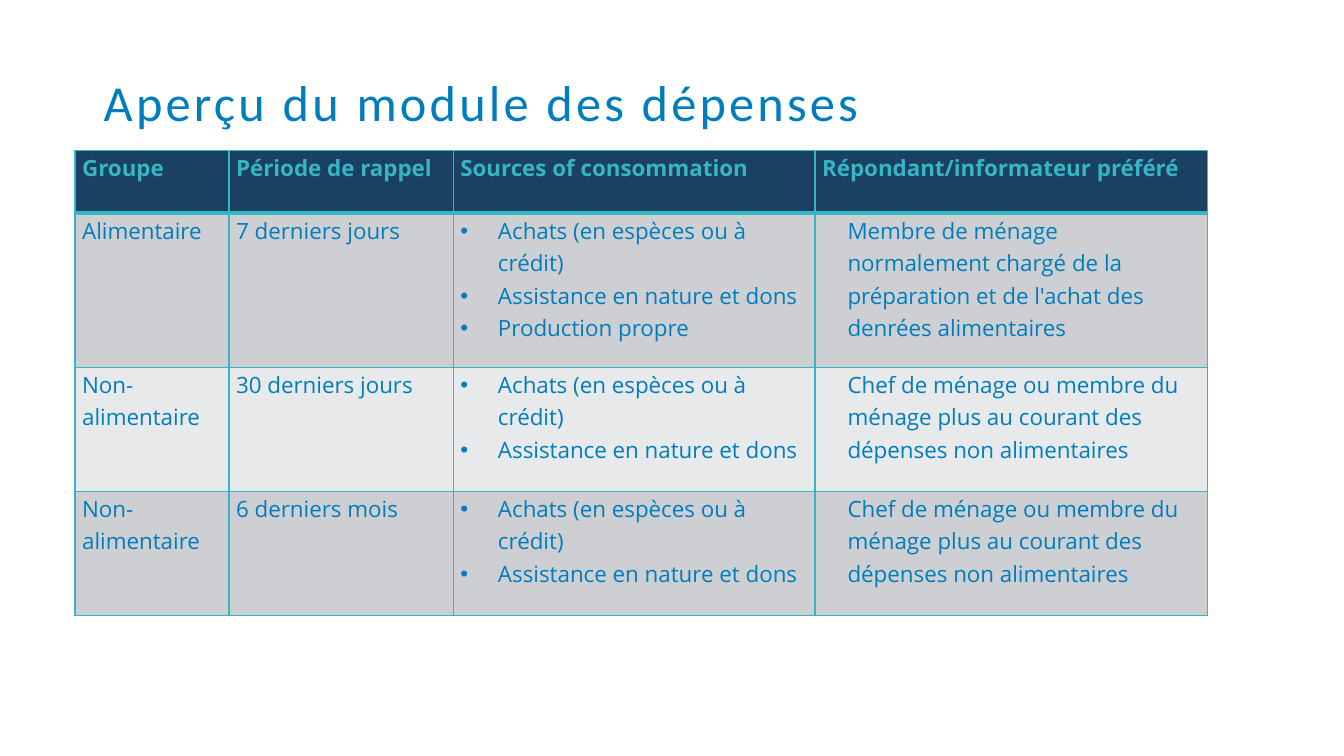
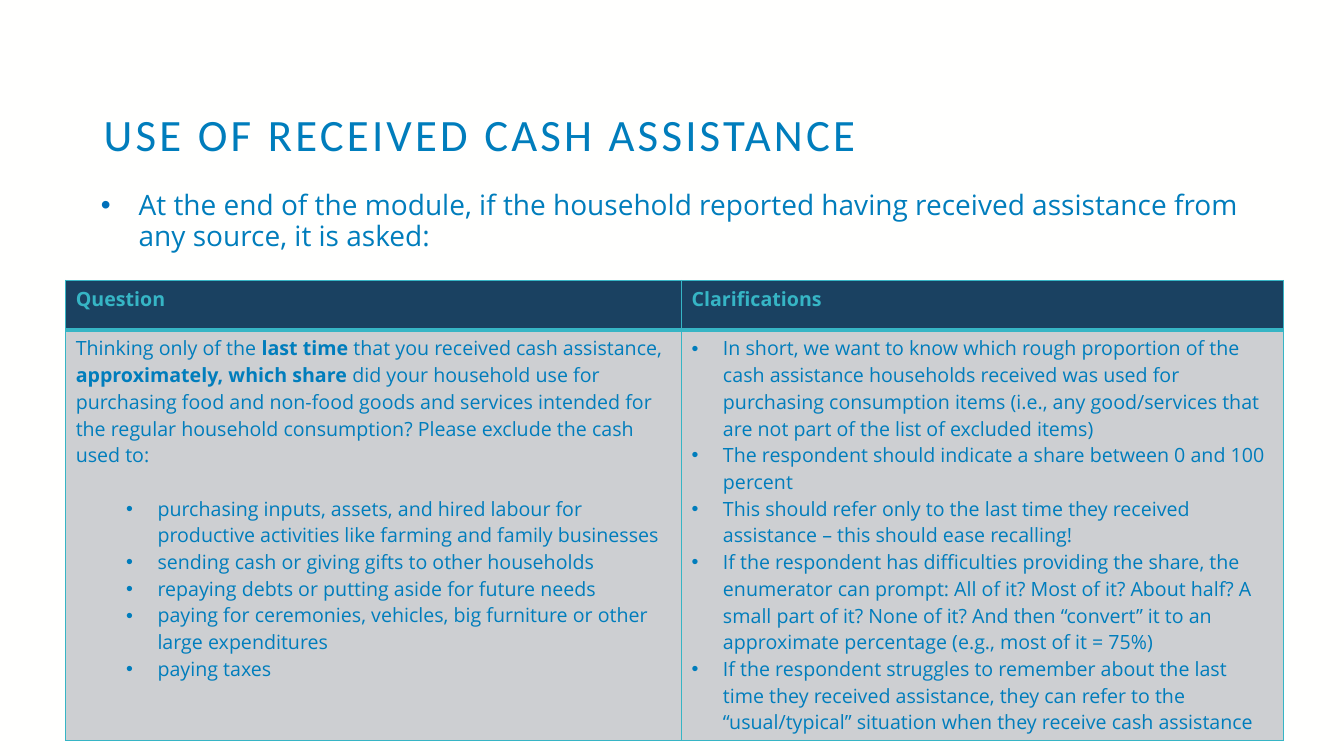
from dataclasses import dataclass

from lxml import etree
from pptx import Presentation
from pptx.dml.color import RGBColor
from pptx.enum.text import MSO_ANCHOR, MSO_AUTO_SIZE, PP_ALIGN
from pptx.oxml.ns import qn
from pptx.util import Cm, Pt

TOP = MSO_ANCHOR.TOP
MIDDLE = MSO_ANCHOR.MIDDLE
LEFT = PP_ALIGN.LEFT
NO_AUTOFIT = MSO_AUTO_SIZE.NONE

PAPER = "FFFFFE"
BLUE = "007DBC"
BULLET_BLUE = "0070BA"
TEAL = "36B5C5"
NAVY = "1A4161"
GREY = "CDCFD2"
PALE_GREY = "E8E9EA"

TITLE_FONT = "Calibri"
BODY_FONT = "Open Sans"
TITLE_ONLY = 5
TITLE_AND_CONTENT = 1


@dataclass(frozen=True)
class ParagraphStyle:
    size: float
    color: str = BLUE
    bold: bool = False
    indent: float = 0
    hanging: float = 0
    bullet_color: str = ""
    level: int = 0
    line_spacing: float = 1.0
    before: float = 0
    after: float = 0


@dataclass(frozen=True)
class Block:
    style: ParagraphStyle
    lines: tuple[str, ...]
    gap: float = 0


@dataclass(frozen=True)
class Grid:
    left: float
    top: float
    columns: tuple[float, ...]
    rows: tuple[float, ...]
    margin_x: float
    margin_y: float


def rgb(color: str) -> RGBColor:
    return RGBColor.from_string(color)


def add_bullet(paragraph, style: ParagraphStyle) -> None:
    properties = paragraph._p.get_or_add_pPr()
    properties.set("marL", str(Cm(style.indent)))
    properties.set("indent", str(-Cm(style.hanging)))
    if style.bullet_color:
        tint = etree.SubElement(properties, qn("a:buClr"))
        etree.SubElement(tint, qn("a:srgbClr")).set("val", style.bullet_color)
        etree.SubElement(properties, qn("a:buFont")).set("typeface", "Arial")
        etree.SubElement(properties, qn("a:buChar")).set("char", "•")


def write_paragraph(paragraph, text: str, style: ParagraphStyle, before: float) -> None:
    add_bullet(paragraph, style)
    paragraph.level = style.level
    paragraph.alignment = LEFT
    paragraph.line_spacing = style.line_spacing
    paragraph.space_before = Pt(before)
    paragraph.space_after = Pt(style.after)
    for position, segment in enumerate(text.split("**")):
        run = paragraph.add_run()
        run.text = segment
        run.font.name = BODY_FONT
        run.font.size = Pt(style.size)
        run.font.bold = style.bold or position % 2 == 1
        run.font.color.rgb = rgb(style.color)


def write_blocks(frame, blocks: list[Block]) -> None:
    paragraph = frame.paragraphs[0]
    first = True
    for block in blocks:
        for index, line in enumerate(block.lines):
            if not first:
                paragraph = frame.add_paragraph()
            first = False
            before = block.gap if index == 0 else block.style.before
            write_paragraph(paragraph, line, block.style, before)


def place(shape, left: float, top: float, width: float, height: float) -> None:
    shape.left, shape.top = Cm(left), Cm(top)
    shape.width, shape.height = Cm(width), Cm(height)


def add_titled_slide(deck, layout: int, title: str, size: float, anchor):
    slide = deck.slides.add_slide(deck.slide_layouts[layout])
    heading = slide.shapes.title
    place(heading, 2.36, 1.85, 29.29, 3.2)
    frame = heading.text_frame
    frame.text = title
    frame.word_wrap = True
    frame.auto_size = NO_AUTOFIT
    frame.vertical_anchor = anchor
    paragraph = frame.paragraphs[0]
    paragraph.alignment = LEFT
    paragraph.line_spacing = 0.9
    run = paragraph.runs[0]
    run.font.name = TITLE_FONT
    run.font.size = Pt(size)
    run.font.color.rgb = rgb(BLUE)
    run._r.get_or_add_rPr().set("spc", "230")
    return slide


def add_borders(cell, top: float, bottom: float) -> None:
    properties = cell._tc.get_or_add_tcPr()
    for side, width in (("L", 1), ("R", 1), ("T", top), ("B", bottom)):
        line = etree.SubElement(properties, qn(f"a:ln{side}"))
        line.set("w", str(Pt(width)))
        fill = etree.SubElement(line, qn("a:solidFill"))
        etree.SubElement(fill, qn("a:srgbClr")).set("val", TEAL)


def add_grid(slide, grid: Grid, content: list[list[list[Block]]]) -> None:
    table = slide.shapes.add_table(
        len(grid.rows), len(grid.columns), Cm(grid.left), Cm(grid.top),
        Cm(sum(grid.columns)), Cm(sum(grid.rows)),
    ).table
    table.horz_banding = False
    for column, width in zip(table.columns, grid.columns):
        column.width = Cm(width)
    for row, height in zip(table.rows, grid.rows):
        row.height = Cm(height)
    for row_index, row_content in enumerate(content):
        band = GREY if row_index % 2 else PALE_GREY
        for column_index, blocks in enumerate(row_content):
            cell = table.cell(row_index, column_index)
            add_borders(cell, 3 if row_index == 1 else 1, 3 if row_index == 0 else 1)
            cell.fill.solid()
            cell.fill.fore_color.rgb = rgb(NAVY if row_index == 0 else band)
            cell.margin_left = cell.margin_right = Cm(grid.margin_x)
            cell.margin_top = cell.margin_bottom = Cm(grid.margin_y)
            cell.vertical_anchor = TOP
            write_blocks(cell.text_frame, blocks)


def build_expense_overview(deck) -> None:
    slide = add_titled_slide(deck, TITLE_ONLY, "Aperçu du module des dépenses", 36, TOP)
    header = ParagraphStyle(16, TEAL, bold=True, line_spacing=1.07, after=8)
    plain = ParagraphStyle(16, line_spacing=1.07, after=8)
    source = ParagraphStyle(
        16, indent=0.95, hanging=0.95, bullet_color=BLUE, line_spacing=1.07
    )
    respondent = ParagraphStyle(16, indent=0.64, line_spacing=1.07, after=8)

    headings = (
        "Groupe", "Période de rappel", "Sources of consommation",
        "Répondant/informateur préféré",
    )
    common_sources = ("Achats (en espèces ou à crédit)", "Assistance en nature et dons")
    household_head = (
        "Chef de ménage ou membre du ménage plus au courant des dépenses non alimentaires"
    )
    groups = (
        ("Alimentaire", "7 derniers jours", common_sources + ("Production propre",),
         "Membre de ménage normalement chargé de la préparation et de l'achat des "
         "denrées alimentaires"),
        ("Non-alimentaire", "30 derniers jours", common_sources, household_head),
        ("Non-alimentaire", "6 derniers mois", common_sources, household_head),
    )
    content = [[[Block(header, (heading,))] for heading in headings]]
    for group, period, sources, informant in groups:
        content.append([
            [Block(plain, (group,))],
            [Block(plain, (period,))],
            [Block(source, sources)],
            [Block(respondent, (informant,))],
        ])
    grid = Grid(1.89, 3.8, (3.88, 5.65, 9.12, 9.9), (1.57, 3.89, 3.12, 3.12), 0.18, 0)
    add_grid(slide, grid, content)


def build_cash_assistance(deck) -> None:
    slide = add_titled_slide(
        deck, TITLE_AND_CONTENT, "USE OF RECEIVED CASH ASSISTANCE", 32, MIDDLE
    )
    introduction = slide.placeholders[1]
    place(introduction, 2.29, 4.7, 29.29, 11.38)
    introduction.text_frame.word_wrap = True
    introduction.text_frame.auto_size = NO_AUTOFIT
    introduction.text_frame.vertical_anchor = TOP
    lead = ParagraphStyle(
        20, indent=0.95, hanging=0.95, bullet_color=BULLET_BLUE, line_spacing=0.9
    )
    write_blocks(introduction.text_frame, [Block(lead, (
        "At the end of the module, if the household reported having received "
        "assistance from any source, it is asked:",
    ))])

    header = ParagraphStyle(14, TEAL, bold=True)
    plain = ParagraphStyle(14)
    exclusion = ParagraphStyle(
        14, indent=2.06, hanging=0.79, bullet_color=BLUE, level=1
    )
    clarification = ParagraphStyle(14, indent=0.79, hanging=0.79, bullet_color=BLUE)
    question = (
        "Thinking only of the **last time **that you received cash assistance, "
        "**approximately, which share** did your household use for purchasing food and "
        "non-food goods and services intended for the regular household consumption? "
        "Please exclude the cash used to:"
    )
    exclusions = (
        "purchasing inputs, assets, and hired labour for productive activities like "
        "farming and family businesses",
        "sending cash or giving gifts to other households",
        "repaying debts or putting aside for future needs",
        "paying for ceremonies, vehicles, big furniture or other large expenditures",
        "paying taxes",
    )
    clarifications = (
        "In short, we want to know which rough proportion of the cash assistance "
        "households received was used for purchasing consumption items (i.e., any "
        "good/services that are not part of the list of excluded items)",
        "The respondent should indicate a share between 0 and 100 percent",
        "This should refer only to the last time they received assistance – this "
        "should ease recalling!",
        "If the respondent has difficulties providing the share, the enumerator can "
        "prompt: All of it? Most of it? About half? A small part of it? None of it? "
        "And then “convert” it to an approximate percentage (e.g., most of it = 75%)",
        "If the respondent struggles to remember about the last time they received "
        "assistance, they can refer to the “usual/typical” situation when they "
        "receive cash assistance",
    )
    content = [
        [[Block(header, ("Question",))], [Block(header, ("Clarifications",))]],
        [
            [Block(plain, (question,)), Block(exclusion, exclusions, gap=19)],
            [Block(clarification, clarifications)],
        ],
    ]
    add_grid(slide, Grid(1.66, 7.07, (15.52, 15.16), (1.24, 9.17), 0.25, 0.13), content)


def main() -> None:
    deck = Presentation()
    deck.slide_width, deck.slide_height = Cm(33.87), Cm(19.05)
    backdrop = deck.slide_master.background.fill
    backdrop.solid()
    backdrop.fore_color.rgb = rgb(PAPER)
    build_expense_overview(deck)
    build_cash_assistance(deck)
    deck.save("out.pptx")


if __name__ == "__main__":
    main()
